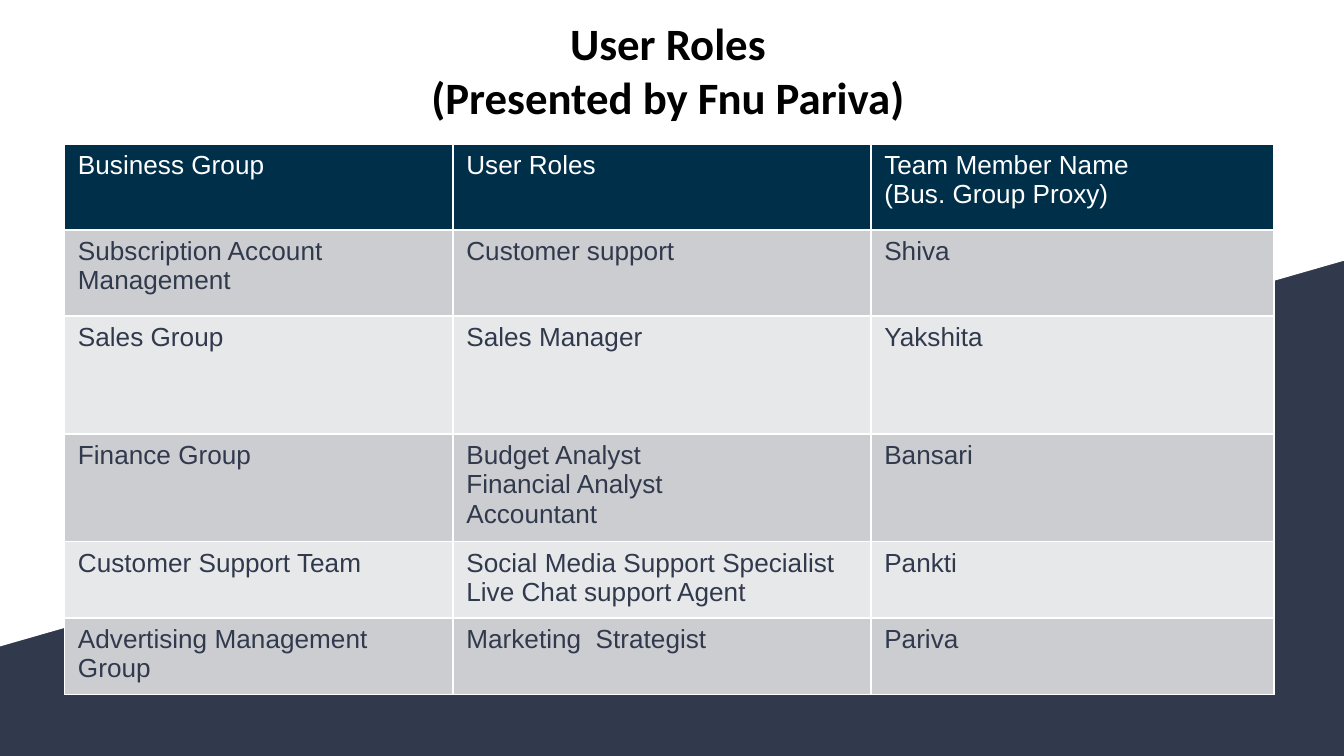
from lxml.etree import SubElement
from pptx import Presentation
from pptx.dml.color import RGBColor
from pptx.enum.text import MSO_ANCHOR, MSO_AUTO_SIZE, PP_ALIGN
from pptx.oxml.ns import qn
from pptx.util import Inches, Pt

NAVY = RGBColor(0x31, 0x39, 0x4D)
HEADER_BLUE = RGBColor(0x00, 0x2F, 0x4A)
DARK_BAND = RGBColor(0xCC, 0xCD, 0xD0)
LIGHT_BAND = RGBColor(0xE7, 0xE8, 0xE9)
WHITE = RGBColor(0xFF, 0xFF, 0xFF)
BLACK = RGBColor(0x00, 0x00, 0x00)

COLUMN_WIDTHS = [2.89, 3.11, 3]
ROW_HEIGHTS = [0.64, 0.64, 0.88, 0.8, 0.57, 0.57]
PANEL_CORNERS = [(10, 0), (10, 1.94), (0, 4.81)]
ROLES = [
    ["Business Group", "User Roles", "Team Member Name\n(Bus. Group Proxy)"],
    ["Subscription Account Management", "Customer support", "Shiva"],
    ["Sales Group", "Sales Manager", "Yakshita"],
    ["Finance Group", "Budget Analyst\nFinancial Analyst\nAccountant", "Bansari"],
    ["Customer Support Team",
     "Social Media Support Specialist\nLive Chat support Agent", "Pankti"],
    ["Advertising Management Group", "Marketing  Strategist", "Pariva"],
]


def add_backdrop(slide):
    """Fill the background and lay the slanted white panel behind the title."""
    slide.background.fill.solid()
    slide.background.fill.fore_color.rgb = NAVY
    outline = slide.shapes.build_freeform(0, 0)
    outline.add_line_segments([(Inches(x), Inches(y)) for x, y in PANEL_CORNERS])
    panel = outline.convert_to_shape()
    panel.shadow.inherit = False
    panel.fill.solid()
    panel.fill.fore_color.rgb = WHITE
    panel.line.fill.background()
    slide.shapes.title.element.addprevious(panel.element)


def set_title(slide, wording):
    """Place and format the slide title."""
    title = slide.shapes.title
    title.left, title.top = Inches(2.24), Inches(0.07)
    title.width, title.height = Inches(5.46), Inches(1.28)
    frame = title.text_frame
    frame.text = wording
    frame.word_wrap = True
    frame.auto_size = MSO_AUTO_SIZE.NONE
    frame.vertical_anchor = MSO_ANCHOR.TOP
    heading = frame.paragraphs[0]
    heading.alignment = PP_ALIGN.CENTER
    heading.font.name = "Calibri"
    heading.font.size = Pt(24)
    heading.font.bold = True
    heading.font.color.rgb = BLACK


def set_borders(cell):
    """Draw thin white borders around a cell."""
    properties = cell._tc.get_or_add_tcPr()
    for side in "LRTB":
        border = SubElement(properties, qn(f"a:ln{side}"), w=str(Pt(1)))
        fill = SubElement(border, qn("a:solidFill"))
        SubElement(fill, qn("a:srgbClr"), val=str(WHITE))


def format_cell(cell, wording, fill_color, text_color):
    """Write one cell with its fill, font and borders."""
    set_borders(cell)
    cell.fill.solid()
    cell.fill.fore_color.rgb = fill_color
    cell.text = wording
    for paragraph in cell.text_frame.paragraphs:
        paragraph.font.name = "Arial"
        paragraph.font.size = Pt(14)
        paragraph.font.bold = False
        paragraph.font.color.rgb = text_color


def add_roles_table(slide):
    """Add the table of business groups, roles and team members."""
    table = slide.shapes.add_table(
        len(ROLES), len(COLUMN_WIDTHS), Inches(0.48), Inches(1.07),
        Inches(sum(COLUMN_WIDTHS)), Inches(sum(ROW_HEIGHTS))).table
    for column, width in zip(table.columns, COLUMN_WIDTHS):
        column.width = Inches(width)
    for index, (row, height, entries) in enumerate(zip(table.rows, ROW_HEIGHTS, ROLES)):
        row.height = Inches(height)
        if index == 0:
            colors = HEADER_BLUE, WHITE
        else:
            colors = DARK_BAND if index % 2 else LIGHT_BAND, NAVY
        for cell, wording in zip(row.cells, entries):
            format_cell(cell, wording, *colors)


def main():
    """Build and save the user roles slide."""
    presentation = Presentation()
    presentation.slide_width = Inches(10)
    presentation.slide_height = Inches(10 * 9 / 16)
    slide = presentation.slides.add_slide(presentation.slide_layouts[5])
    add_backdrop(slide)
    set_title(slide, "User Roles\v(Presented by Fnu Pariva)")
    add_roles_table(slide)
    presentation.save("out.pptx")


if __name__ == "__main__":
    main()
